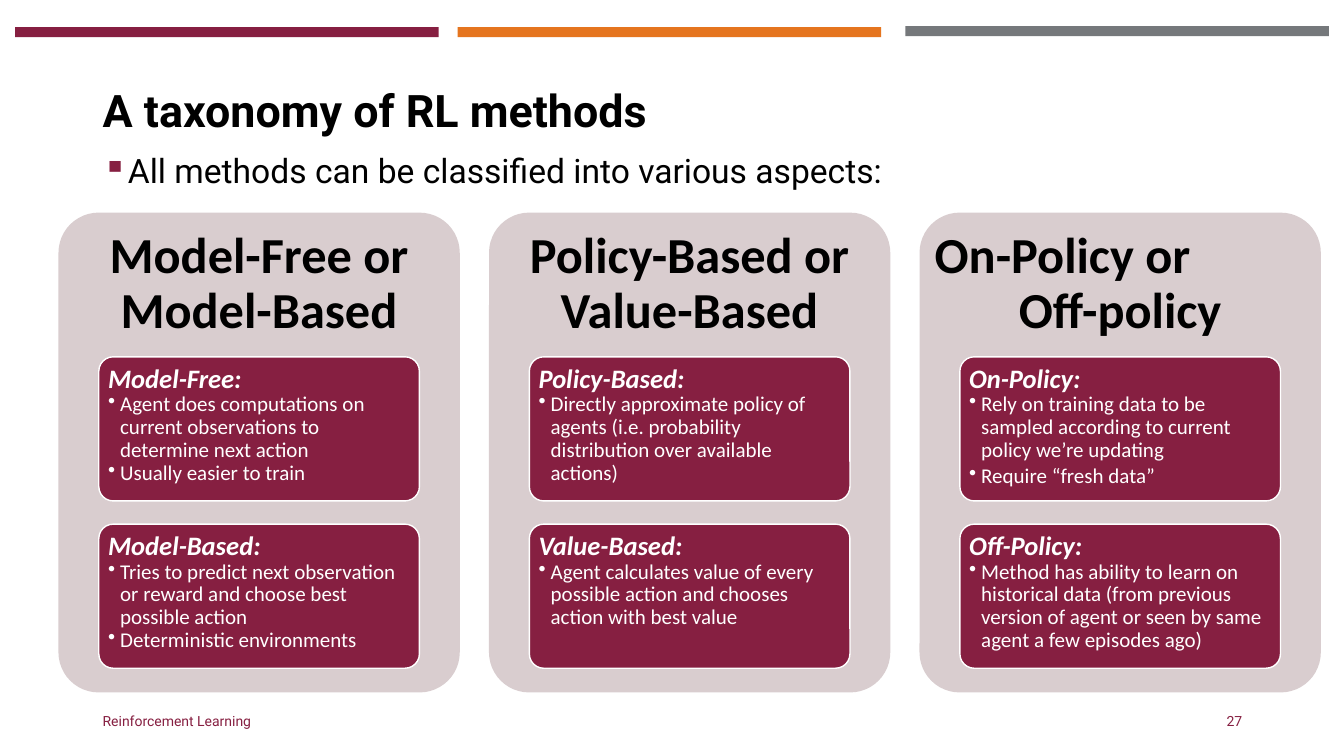
from dataclasses import dataclass

import lxml.etree
import pptx
import pptx.dml.color
import pptx.enum.shapes
import pptx.enum.text
import pptx.oxml.ns
import pptx.presentation
import pptx.shapes.autoshape
import pptx.slide
import pptx.text.text
import pptx.util

ALIGN = pptx.enum.text.PP_ALIGN
ANCHOR = pptx.enum.text.MSO_ANCHOR
SHAPE = pptx.enum.shapes.MSO_SHAPE

EMU_PER_PX = 9144  # 100 px to the inch
MAROON, ORANGE, GRAY = "861F41", "E5751F", "75787B"
PALE, BLACK, WHITE = "D9CDCF", "000000", "FFFFFF"

CARD_LEFT, CARD_TOP, CARD_WIDTH, CARD_HEIGHT, CARD_PITCH = 58, 211, 398, 476, 427
HEADING_HEIGHT = 143
PANEL_INDENT, PANEL_WIDTH, PANEL_HEIGHT, PANEL_PITCH = 40, 318, 143, 166


@dataclass(frozen=True)
class Box:
    left: int
    top: int
    width: int
    height: int


@dataclass(frozen=True)
class Style:
    size: int
    font: str
    color: str
    bold: bool = False
    italic: bool = False


@dataclass(frozen=True)
class Bar:
    box: Box
    color: str


@dataclass(frozen=True)
class Panel:
    name: str
    points: tuple[str, ...]


@dataclass(frozen=True)
class Card:
    heading: tuple[tuple[str, ALIGN], ...]
    panels: tuple[Panel, Panel]
    point_gap: float = 0


TITLE = Style(32, "Roboto", BLACK, bold=True)
LEAD = Style(24, "Roboto", BLACK)
FOOTER = Style(10, "Roboto", MAROON)
HEADING = Style(36, "Calibri", BLACK, bold=True)
PANEL_NAME = Style(19, "Calibri", WHITE, bold=True, italic=True)
POINT = Style(15, "Calibri", WHITE)

BARS = (
    Bar(Box(15, 27, 420, 10), MAROON),
    Bar(Box(454, 27, 420, 10), ORANGE),
    Bar(Box(898, 26, 420, 10), GRAY),
)

CARDS = (
    Card(
        (("Model-Free or Model-Based", ALIGN.CENTER),),
        (
            Panel("Model-Free:", (
                "Agent does computations on current observations to determine next action",
                "Usually easier to train",
            )),
            Panel("Model-Based:", (
                "Tries to predict next observation or reward and choose best possible action",
                "Deterministic environments",
            )),
        ),
    ),
    Card(
        (("Policy-Based or Value-Based", ALIGN.CENTER),),
        (
            Panel("Policy-Based:", (
                "Directly approximate policy of agents (i.e. probability distribution "
                "over available actions)",
            )),
            Panel("Value-Based:", (
                "Agent calculates value of every possible action and chooses action "
                "with best value",
            )),
        ),
    ),
    Card(
        (("On-Policy or", ALIGN.LEFT), ("Off-policy", ALIGN.CENTER)),
        (
            Panel("On-Policy:", (
                "Rely on training data to be sampled according to current policy we’re updating",
                "Require “fresh data”",
            )),
            Panel("Off-Policy:", (
                "Method has ability to learn on historical data (from previous version "
                "of agent or seen by same agent a few episodes ago)",
            )),
        ),
        point_gap=2.25,
    ),
)


def px(length: int) -> pptx.util.Emu:
    return pptx.util.Emu(length * EMU_PER_PX)


def rgb(color: str) -> pptx.dml.color.RGBColor:
    return pptx.dml.color.RGBColor.from_string(color)


def place(box: Box) -> tuple[pptx.util.Emu, ...]:
    return px(box.left), px(box.top), px(box.width), px(box.height)


def add_block(slide: pptx.slide.Slide, kind: SHAPE, box: Box, fill: str,
              line: str | None = None, line_width: float = 1) -> pptx.shapes.autoshape.Shape:
    block = slide.shapes.add_shape(kind, *place(box))
    block.shadow.inherit = False
    block.fill.solid()
    block.fill.fore_color.rgb = rgb(fill)
    if line:
        block.line.color.rgb = rgb(line)
        block.line.width = pptx.util.Pt(line_width)
    else:
        block.line.fill.background()
    if kind == SHAPE.ROUNDED_RECTANGLE:
        block.adjustments[0] = 0.1
    return block


def set_frame(frame: pptx.text.text.TextFrame, anchor: ANCHOR, side: int, end: int) -> None:
    frame.word_wrap = True
    frame.vertical_anchor = anchor
    frame.margin_left = frame.margin_right = px(side)
    frame.margin_top = frame.margin_bottom = px(end)


def add_textbox(slide: pptx.slide.Slide, box: Box, anchor: ANCHOR = ANCHOR.MIDDLE,
                side: int = 10, end: int = 5) -> pptx.text.text.TextFrame:
    frame = slide.shapes.add_textbox(*place(box)).text_frame
    set_frame(frame, anchor, side, end)
    return frame


def write(frame: pptx.text.text.TextFrame, text: str, style: Style,
          align: ALIGN = ALIGN.LEFT, spacing: float = 0.9) -> pptx.text.text._Paragraph:
    """Fill the frame's empty first paragraph, or append a new one."""
    first = frame.paragraphs[0]
    paragraph = frame.add_paragraph() if first.runs else first
    paragraph.alignment = align
    paragraph.line_spacing = spacing
    run = paragraph.add_run()
    run.text = text
    run.font.size = pptx.util.Pt(style.size)
    run.font.name = style.font
    run.font.bold = style.bold
    run.font.italic = style.italic
    run.font.color.rgb = rgb(style.color)
    return paragraph


def add_bullet(paragraph: pptx.text.text._Paragraph, mark: str, indent: int, color: str) -> None:
    qn = pptx.oxml.ns.qn
    properties = paragraph._p.get_or_add_pPr()
    properties.set("marL", str(px(indent)))
    properties.set("indent", str(px(-indent)))
    bullet_color = lxml.etree.SubElement(properties, qn("a:buClr"))
    lxml.etree.SubElement(bullet_color, qn("a:srgbClr"), val=color)
    lxml.etree.SubElement(properties, qn("a:buChar"), char=mark)


def add_card(slide: pptx.slide.Slide, card: Card, left: int) -> None:
    add_block(slide, SHAPE.ROUNDED_RECTANGLE, Box(left, CARD_TOP, CARD_WIDTH, CARD_HEIGHT), PALE)
    heading = add_textbox(slide, Box(left, CARD_TOP, CARD_WIDTH, HEADING_HEIGHT), side=15, end=15)
    for text, align in card.heading:
        write(heading, text, HEADING, align)
    for row, panel in enumerate(card.panels):
        top = CARD_TOP + HEADING_HEIGHT + row * PANEL_PITCH
        box = Box(left + PANEL_INDENT, top, PANEL_WIDTH, PANEL_HEIGHT)
        frame = add_block(slide, SHAPE.ROUNDED_RECTANGLE, box, MAROON, WHITE).text_frame
        set_frame(frame, ANCHOR.TOP, side=5, end=4)
        write(frame, panel.name, PANEL_NAME)
        for text in panel.points:
            point = write(frame, text, POINT)
            point.space_after = pptx.util.Pt(card.point_gap)
            add_bullet(point, "•", 12, WHITE)


def main() -> None:
    deck = pptx.Presentation()
    deck.slide_width, deck.slide_height = px(1333), px(750)
    slide = deck.slides.add_slide(deck.slide_layouts[6])

    for bar in BARS:
        add_block(slide, SHAPE.RECTANGLE, bar.box, bar.color)
    write(add_textbox(slide, Box(92, 40, 1150, 145)), "A taxonomy of RL methods", TITLE)
    lead = write(add_textbox(slide, Box(92, 148, 1150, 60), ANCHOR.TOP),
                 "All methods can be classified into various aspects:", LEAD)
    add_bullet(lead, "▪", 25, MAROON)
    write(add_textbox(slide, Box(92, 695, 450, 40)), "Reinforcement Learning", FOOTER, spacing=1.0)
    write(add_textbox(slide, Box(942, 695, 300, 40)), "27", FOOTER, ALIGN.RIGHT, spacing=1.0)
    for column, card in enumerate(CARDS):
        add_card(slide, card, CARD_LEFT + column * CARD_PITCH)

    deck.save("out.pptx")


if __name__ == "__main__":
    main()
